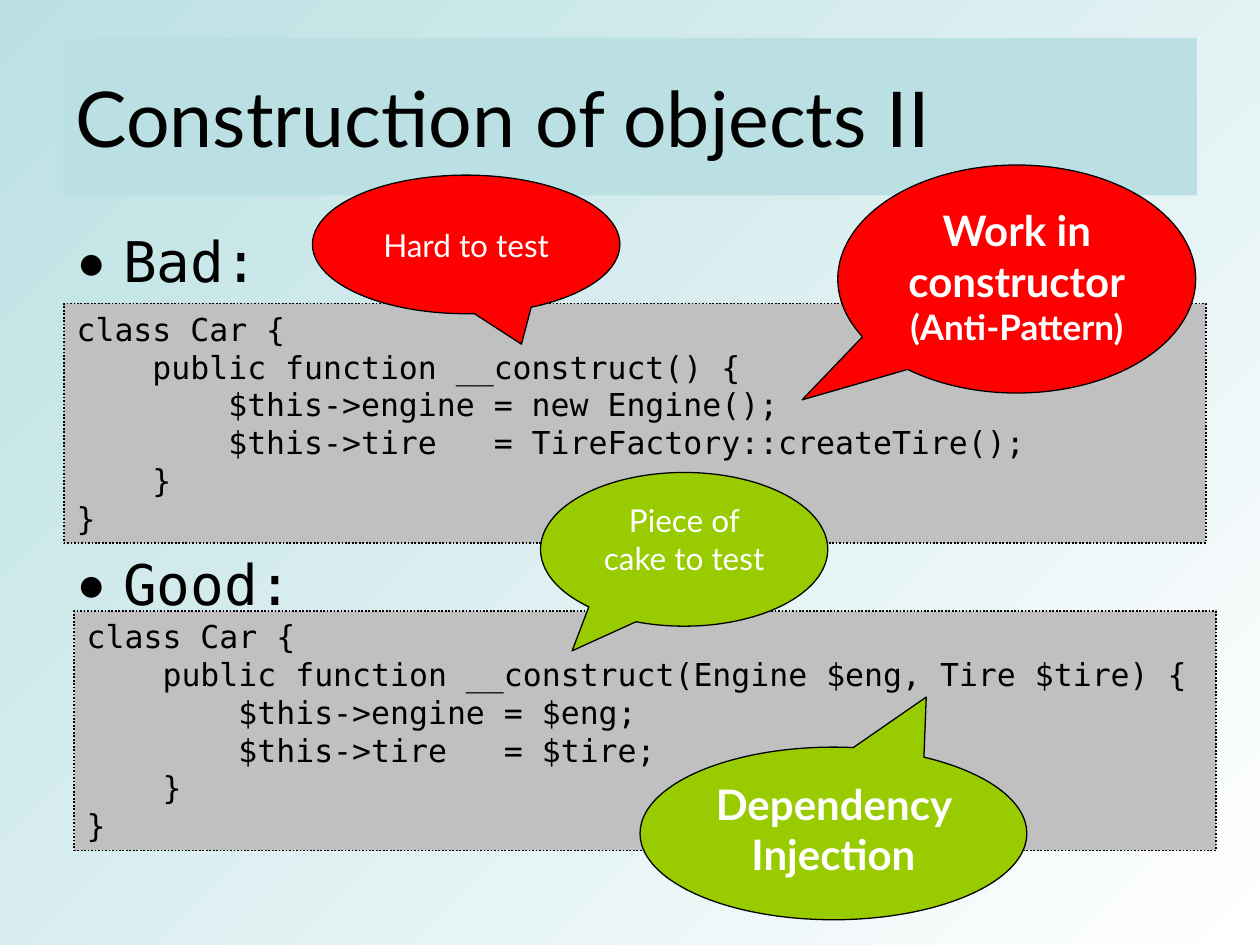
from dataclasses import dataclass

from lxml import etree
from pptx import Presentation, util as u
from pptx.dml.color import RGBColor
from pptx.enum import dml, shapes, text
from pptx.oxml.ns import qn

COLUMNS, ROWS = 100, 75
SLIDE_W, SLIDE_H = u.Inches(10), u.Inches(7.5)
SANS, MONO = "Lato", "DejaVu Sans Mono"
BLACK, WHITE, GREY = "000000", "FFFFFF", "C0C0C0"
AQUA, RED, GREEN = "BBE0E3", "FF0000", "99CC00"


@dataclass
class Area:
    column: float
    row: float
    columns: float
    rows: float

    def box(self) -> tuple[int, int, int, int]:
        cell_w, cell_h = SLIDE_W / COLUMNS, SLIDE_H / ROWS
        return (round(self.column * cell_w), round(self.row * cell_h),
                round(self.columns * cell_w), round(self.rows * cell_h))


@dataclass
class Example:
    verdict: str
    verdict_area: Area
    code: str
    code_area: Area


@dataclass
class Remark:
    lines: tuple[str, ...]
    sizes: tuple[int, ...]
    area: Area
    pointer: tuple[float, float]
    fill: str
    bold: bool = False
    anchor: text.MSO_ANCHOR = text.MSO_ANCHOR.TOP


EXAMPLES = [
    Example("Bad:", Area(5, 17.5, 20, 6), """class Car {
    public function __construct() {
        $this->engine = new Engine();
        $this->tire   = TireFactory::createTire();
    }
}""", Area(5.1, 24.1, 90.6, 19)),
    Example("Good:", Area(5, 43.1, 25, 6), """class Car {
    public function __construct(Engine $eng, Tire $tire) {
        $this->engine = $eng;
        $this->tire   = $tire;
    }
}""", Area(5.9, 48.5, 90.6, 19)),
]

REMARKS = [
    Remark(("Work in constructor", "(Anti-Pattern)"), (24, 20),
           Area(66.5, 13.1, 28.4, 18.1), (-0.6, 0.53), RED, bold=True),
    Remark(("Dependency Injection",), (24,),
           Area(50.8, 59.3, 30.7, 13.7), (0.24, -0.79), GREEN, bold=True),
    Remark(("Hard to test",), (18,), Area(24.8, 13.9, 24.4, 11),
           (0.18, 0.72), RED, anchor=text.MSO_ANCHOR.MIDDLE),
    Remark(("Piece of cake to test",), (18,),
           Area(42.9, 37.5, 22.8, 12.2), (-0.39, 0.66), GREEN),
]


def rgb(value: str) -> RGBColor:
    return RGBColor.from_string(value)


def add_bullet(paragraph) -> None:
    props = paragraph._p.get_or_add_pPr()
    indent = u.Inches(0.38)
    props.set("marL", str(indent))
    props.set("indent", str(-indent))
    etree.SubElement(props, qn("a:buFont")).set("typeface", SANS)
    etree.SubElement(props, qn("a:buChar")).set("char", "•")


def write(shape, lines, *, sizes, font=SANS, color=BLACK, bold=False,
          align=text.PP_ALIGN.LEFT, anchor=text.MSO_ANCHOR.TOP,
          bullet=False) -> None:
    frame = shape.text_frame
    frame.word_wrap = True
    frame.auto_size = text.MSO_AUTO_SIZE.NONE
    frame.vertical_anchor = anchor
    for index, (line, size) in enumerate(zip(lines, sizes)):
        paragraph = frame.add_paragraph() if index else frame.paragraphs[0]
        if bullet:
            add_bullet(paragraph)
        paragraph.alignment = align
        run = paragraph.add_run()
        run.text = line
        run.font.name, run.font.size, run.font.bold = font, u.Pt(size), bold
        run.font.color.rgb = rgb(color)


def add_filled(slide, kind: shapes.MSO_SHAPE, area: Area, fill: str, weight: float):
    shape = slide.shapes.add_shape(kind, *area.box())
    shape.shadow.inherit = False
    shape.fill.solid()
    shape.fill.fore_color.rgb = rgb(fill)
    shape.line.color.rgb = rgb(BLACK)
    shape.line.width = u.Pt(weight)
    return shape


def draw_title(slide, heading: str) -> None:
    title = slide.shapes.title
    title.left, title.top, title.width, title.height = Area(5, 3, 90, 12.5).box()
    title.fill.solid()
    title.fill.fore_color.rgb = rgb(AQUA)
    write(title, [heading], sizes=[44], anchor=text.MSO_ANCHOR.MIDDLE)


def draw_example(slide, example: Example) -> None:
    verdict = slide.shapes.add_textbox(*example.verdict_area.box())
    write(verdict, [example.verdict], sizes=[32], font=MONO, bullet=True)
    listing = add_filled(slide, shapes.MSO_SHAPE.RECTANGLE, example.code_area, GREY, 1)
    listing.line.dash_style = dml.MSO_LINE.ROUND_DOT
    code_lines = example.code.split("\n")
    write(listing, code_lines, sizes=[18] * len(code_lines), font=MONO)


def draw_remark(slide, remark: Remark) -> None:
    bubble = add_filled(slide, shapes.MSO_SHAPE.OVAL_CALLOUT, remark.area,
                        remark.fill, 0.75)
    bubble.adjustments[0], bubble.adjustments[1] = remark.pointer
    write(bubble, remark.lines, sizes=remark.sizes, color=WHITE, bold=remark.bold,
          align=text.PP_ALIGN.CENTER, anchor=remark.anchor)


def paint_background(slide) -> None:
    fill = slide.background.fill
    fill.gradient()
    fill.gradient_angle = 315
    for stop, color in zip(fill.gradient_stops, (AQUA, WHITE)):
        stop.color.rgb = rgb(color)


def main() -> None:
    deck = Presentation()
    deck.slide_width, deck.slide_height = SLIDE_W, SLIDE_H
    slide = deck.slides.add_slide(deck.slide_layouts[5])
    paint_background(slide)
    draw_title(slide, "Construction of objects II")
    for example in EXAMPLES:
        draw_example(slide, example)
    for remark in REMARKS:
        draw_remark(slide, remark)
    deck.save("out.pptx")


if __name__ == "__main__":
    main()
